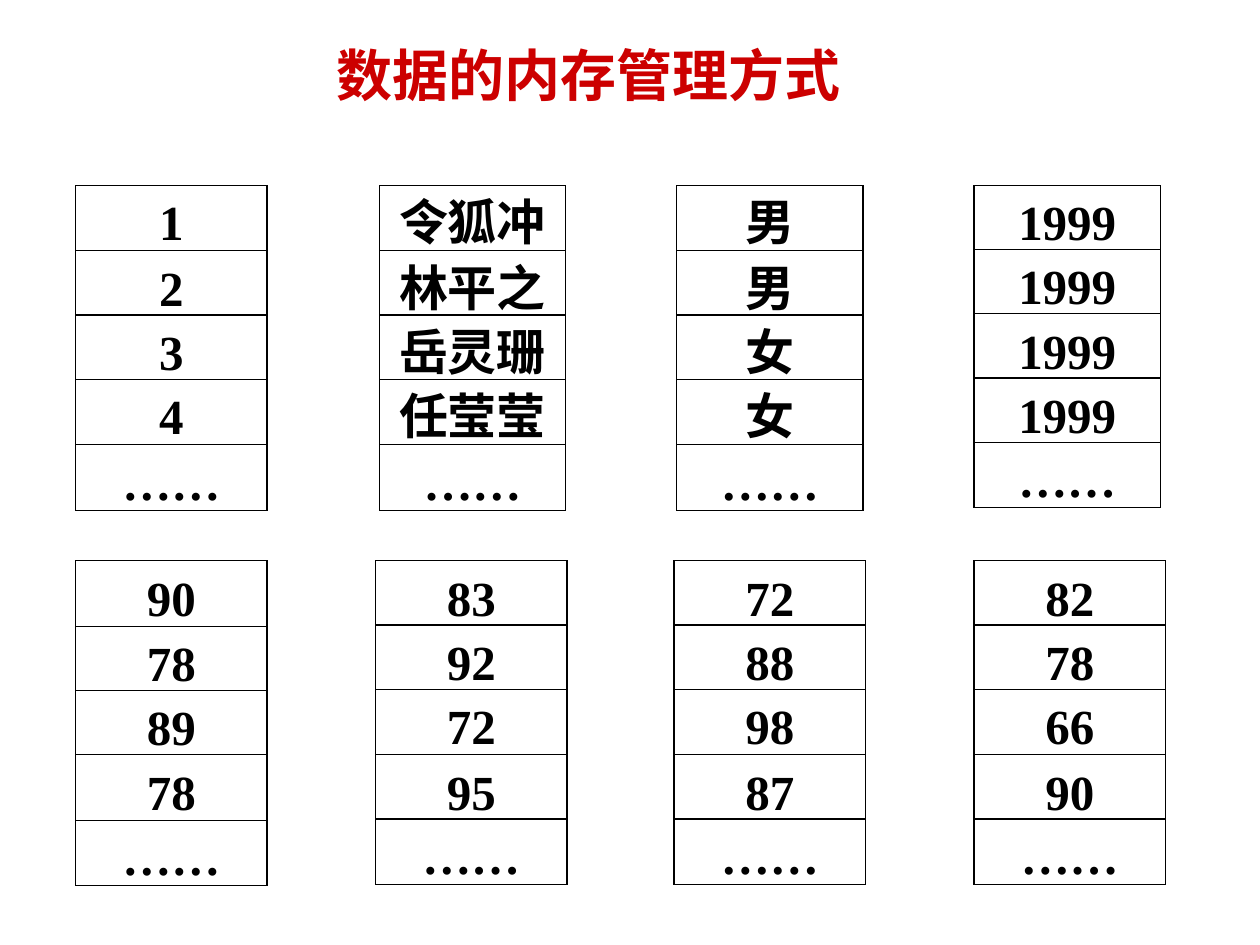
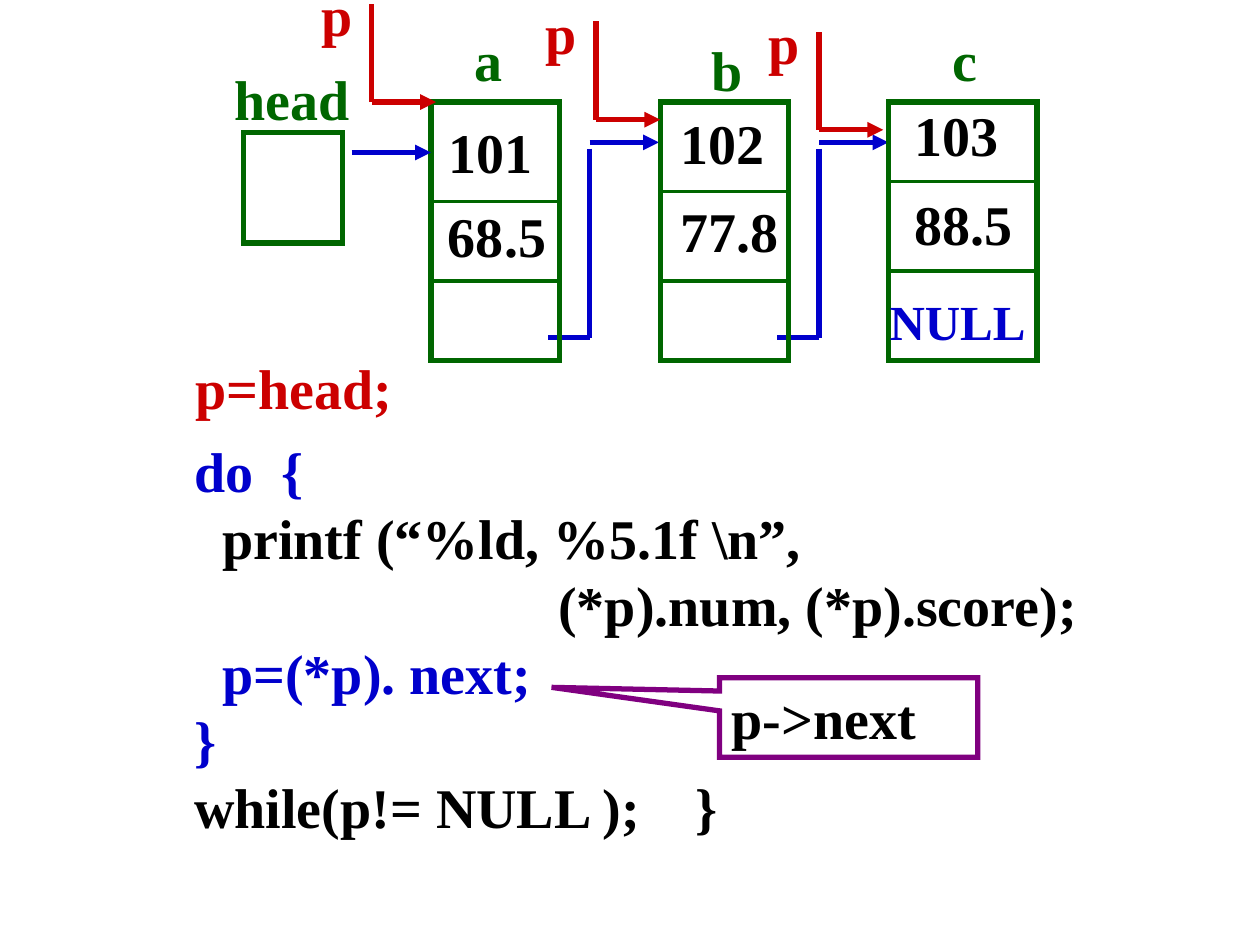
from dataclasses import dataclass
from typing import Any

from lxml.etree import SubElement
from pptx import Presentation
from pptx.dml.color import RGBColor
from pptx.enum.shapes import MSO_CONNECTOR, MSO_SHAPE
from pptx.enum.text import MSO_ANCHOR, PP_ALIGN
from pptx.oxml.ns import qn
from pptx.util import Emu, Pt

EMU_PER_PX = 9144  # 100 px to the inch
NO_GRID_STYLE = "{2D5ABB26-0587-4C30-8999-92F81FD0307C}"


@dataclass(frozen=True)
class Theme:
    font: str = "Times New Roman"
    paper: RGBColor = RGBColor(0xFF, 0xFF, 0xFF)
    ink: RGBColor = RGBColor(0x00, 0x00, 0x00)
    red: RGBColor = RGBColor(0xCC, 0x00, 0x00)
    blue: RGBColor = RGBColor(0x00, 0x00, 0xCC)
    green: RGBColor = RGBColor(0x00, 0x66, 0x00)
    purple: RGBColor = RGBColor(0x80, 0x00, 0x80)
    large: int = 32
    medium: int = 28
    thin: float = 0.75
    divider: int = 2
    thick: int = 3


THEME = Theme()


@dataclass(frozen=True)
class Box:
    left: int
    top: int
    width: int
    height: int

    def emu(self) -> tuple[Emu, ...]:
        return tuple(px(v) for v in (self.left, self.top, self.width, self.height))


@dataclass(frozen=True)
class Column:
    """One field of the records; span runs from the first row's top to the last's."""
    left: int
    top: int
    width: int
    span: int
    values: tuple[str, ...]


@dataclass(frozen=True)
class Node:
    label: str
    label_box: Box
    frame: Box
    dividers: tuple[int, int]
    fields_box: Box
    first_row: int
    number: str
    score: str


@dataclass(frozen=True)
class Pointer:
    """Marker p: drops down at x and turns right at y."""
    x: int
    y: int


ROW_HEIGHT = 52
MORE = "……"
RECORD_COLUMNS = (
    Column(60, 147, 152, 206, ("1", "2", "3", "4", MORE)),
    Column(301, 147, 148, 206, ("令狐冲", "林平之", "岳灵珊", "任莹莹", MORE)),
    Column(537, 147, 148, 206, ("男", "男", "女", "女", MORE)),
    Column(773, 147, 148, 204, ("1999", "1999", "1999", "1999", MORE)),
    Column(60, 445, 152, 206, ("90", "78", "89", "78", MORE)),
    Column(298, 445, 152, 205, ("83", "92", "72", "95", MORE)),
    Column(535, 445, 152, 205, ("72", "88", "98", "87", MORE)),
    Column(773, 445, 152, 205, ("82", "78", "66", "90", MORE)),
)

NODES = (
    Node("a", Box(342, 26, 92, 42), Box(342, 81, 102, 205), (160, 223),
         Box(338, 89, 113, 132), 68, "101", "68.5"),
    Node("b", Box(531, 34, 92, 42), Box(524, 81, 102, 205), (152, 223),
         Box(524, 78, 110, 139), 75, "102", "77.8"),
    Node("c", Box(720, 26, 92, 42), Box(705, 81, 118, 205), (144, 215),
         Box(715, 71, 99, 141), 77, "103", "88.5"),
)
POINTERS = (Pointer(295, 81), Pointer(473, 95), Pointer(650, 103))
LINK_TURNS = (468, 650)

LOOP_CODE = (
    ("  do  {", THEME.blue),
    ("    printf (“%ld, %5.1f \\n”,", THEME.ink),
    ("                            (*p).num, (*p).score);", THEME.ink),
    ("    p=(*p). next;", THEME.blue),
    ("  }", THEME.blue),
    ("  while(p!= NULL );    }", THEME.ink),
)


def px(value: int) -> Emu:
    return Emu(value * EMU_PER_PX)


def apply(target: Any, values: dict[str, Any]) -> None:
    """Set each named attribute of target."""
    for name, value in values.items():
        setattr(target, name, value)


def write(frame: Any, lines: tuple, size: int = THEME.large,
          align: PP_ALIGN = PP_ALIGN.CENTER) -> None:
    """Fill a text frame with (text, colour) lines."""
    for index, (text, color) in enumerate(lines):
        paragraph = frame.add_paragraph() if index else frame.paragraphs[0]
        paragraph.alignment = align
        run = paragraph.add_run()
        run.text = text
        apply(run.font, {"name": THEME.font, "size": Pt(size), "bold": True})
        run.font.color.rgb = color


def add_text(slide: Any, box: Box, lines: tuple, **text_format: Any) -> None:
    frame = slide.shapes.add_textbox(*box.emu()).text_frame
    apply(frame, {"word_wrap": True, "vertical_anchor": MSO_ANCHOR.MIDDLE,
                  "margin_left": 0, "margin_right": 0})
    write(frame, lines, **text_format)


def add_outline(slide: Any, box: Box, color: RGBColor, width: float,
                filled: bool = False, kind: MSO_SHAPE = MSO_SHAPE.RECTANGLE) -> Any:
    shape = slide.shapes.add_shape(kind, *box.emu())
    shape.shadow.inherit = False
    if filled:
        shape.fill.solid()
        shape.fill.fore_color.rgb = THEME.paper
    else:
        shape.fill.background()
    shape.line.color.rgb = color
    shape.line.width = Pt(width)
    SubElement(shape._element.spPr.find(qn("a:ln")), qn("a:miter"), lim="800000")
    return shape


def add_line(slide: Any, start: tuple[int, int], end: tuple[int, int],
             color: RGBColor, width: float = THEME.thick, arrow: bool = False) -> None:
    line = slide.shapes.add_connector(
        MSO_CONNECTOR.STRAIGHT, *(px(v) for v in start + end))
    line.line.color.rgb = color
    line.line.width = Pt(width)
    properties = line._element.spPr
    if arrow:
        SubElement(properties.find(qn("a:ln")), qn("a:tailEnd"), type="triangle")
    SubElement(properties, qn("a:effectLst"))


def add_column(slide: Any, column: Column) -> None:
    steps = len(column.values) - 1
    for row, value in enumerate(column.values):
        top = column.top + round(column.span * row / steps)
        cell = add_outline(slide, Box(column.left, top, column.width, ROW_HEIGHT),
                           THEME.ink, THEME.thin, filled=True)
        apply(cell.text_frame, {"margin_top": px(5), "margin_bottom": 0,
                                "vertical_anchor": MSO_ANCHOR.MIDDLE})
        write(cell.text_frame, ((value, THEME.ink),), size=THEME.medium)


def add_fields(slide: Any, node: Node) -> None:
    """Table with the number and score held by a node."""
    table = slide.shapes.add_table(2, 1, *node.fields_box.emu()).table
    apply(table, {"first_row": False, "horz_banding": False})
    table._tbl.tblPr.find(qn("a:tableStyleId")).text = NO_GRID_STYLE
    heights = (node.first_row, node.fields_box.height - node.first_row)
    fields = ((node.number, 21), (node.score, 10))
    for row, (height, (value, right)) in enumerate(zip(heights, fields)):
        table.rows[row].height = px(height)
        cell = table.cell(row, 0)
        cell.fill.background()
        apply(cell, {"margin_left": px(10), "margin_right": px(right),
                     "vertical_anchor": MSO_ANCHOR.MIDDLE})
        write(cell.text_frame, ((value, THEME.ink),))


def add_node(slide: Any, node: Node) -> None:
    add_text(slide, node.label_box, ((node.label, THEME.green),))
    add_fields(slide, node)
    frame = node.frame
    add_outline(slide, frame, THEME.green, THEME.thick)
    for y in node.dividers:
        add_line(slide, (frame.left, y), (frame.left + frame.width, y),
                 THEME.green, THEME.divider)


def add_link(slide: Any, turn: int) -> None:
    """Path from a node's last field up to the next node."""
    add_line(slide, (turn, 268), (turn - 33, 268), THEME.blue)
    add_line(slide, (turn, 118), (turn, 268), THEME.blue)
    add_line(slide, (turn, 113), (turn + 55, 113), THEME.blue, arrow=True)


def add_pointer(slide: Any, pointer: Pointer) -> None:
    x, y = pointer.x, pointer.y
    add_text(slide, Box(x - 63, y - 100, 71, 61), (("p", THEME.red),))
    add_line(slide, (x, y), (x, y - 78), THEME.red)
    add_line(slide, (x, y), (x + 51, y), THEME.red, arrow=True)


def build_memory_slide(slide: Any) -> None:
    add_text(slide, Box(227, 28, 480, 62), (("数据的内存管理方式", THEME.red),))
    for column in RECORD_COLUMNS:
        add_column(slide, column)


def build_list_slide(slide: Any) -> None:
    add_text(slide, Box(155, 278, 203, 58), (("p=head;", THEME.red),),
             align=PP_ALIGN.LEFT)
    add_text(slide, Box(132, 341, 746, 331), LOOP_CODE, align=PP_ALIGN.LEFT)

    callout = add_outline(slide, Box(571, 538, 205, 63), THEME.purple, THEME.thick,
                          filled=True, kind=MSO_SHAPE.RECTANGULAR_CALLOUT)
    callout.adjustments[0] = -1.15
    callout.adjustments[1] = -0.38
    callout.text_frame.vertical_anchor = MSO_ANCHOR.MIDDLE
    write(callout.text_frame, (("p->next", THEME.ink),), align=PP_ALIGN.LEFT)

    add_outline(slide, Box(193, 105, 79, 88), THEME.green, THEME.thick)
    add_text(slide, Box(181, 50, 102, 55), (("head", THEME.green),))
    for turn in LINK_TURNS:
        add_link(slide, turn)
    for node in NODES:
        add_node(slide, node)
    add_text(slide, Box(706, 231, 115, 47), (("NULL", THEME.blue),),
             size=THEME.medium, align=PP_ALIGN.LEFT)
    add_line(slide, (279, 121), (342, 121), THEME.blue, arrow=True)
    for pointer in POINTERS:
        add_pointer(slide, pointer)


def main() -> None:
    deck = Presentation()
    apply(deck, {"slide_width": px(1000), "slide_height": px(750)})
    for build in (build_memory_slide, build_list_slide):
        build(deck.slides.add_slide(deck.slide_layouts[6]))
    deck.save("out.pptx")


if __name__ == "__main__":
    main()
